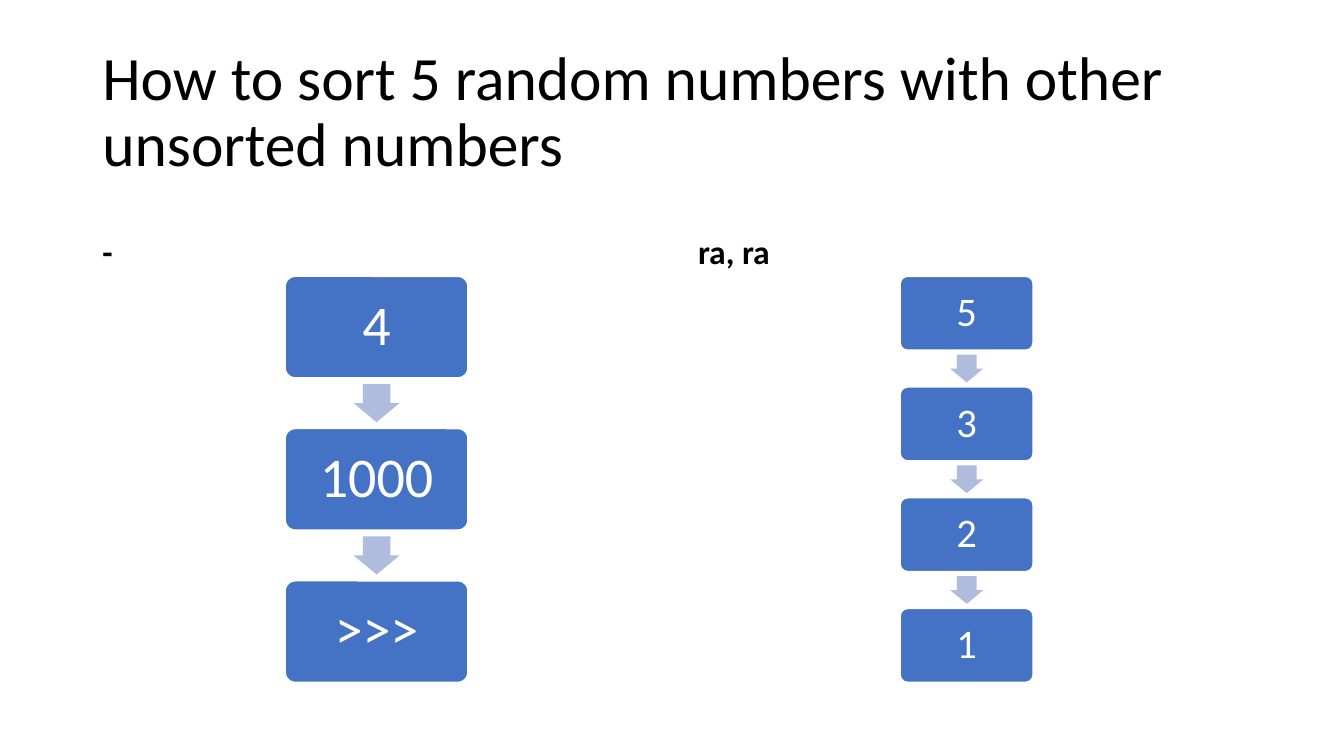
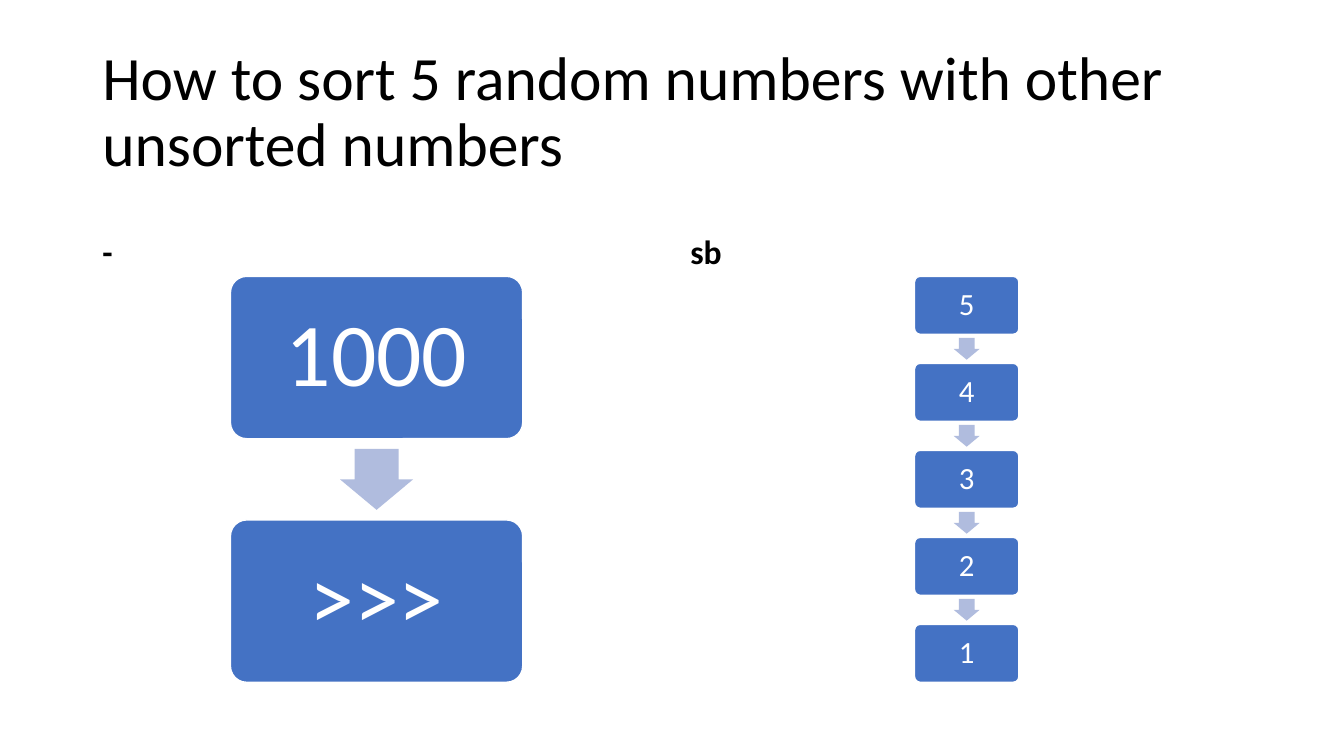
from pptx import Presentation
from pptx.dml.color import RGBColor
from pptx.enum.shapes import MSO_SHAPE
from pptx.enum.text import MSO_ANCHOR, PP_ALIGN
from pptx.util import Pt

COLORS = {"text": "000000", "box": "4472C4", "arrow": "B0BCDE", "white": "FFFFFF"}
FONT = "Calibri"
TITLE = "How to sort 5 random numbers with other unsorted numbers"
FLOW_TOP = 197.4
FLOW_HEIGHT = 290
LEFT_COLUMN = {"left": 66, "width": 406, "center": 269}
RIGHT_COLUMN = {"left": 486, "width": 408, "center": 690.5}

SLIDES = [
    [
        (LEFT_COLUMN, "-", 0, ["4", "1000", ">>>"], 40),
        (RIGHT_COLUMN, "ra, ra", 5.4, ["5", "3", "2", "1"], 29),
    ],
    [
        (LEFT_COLUMN, "-", 0, ["1000", ">>>"], 64),
        (RIGHT_COLUMN, "sb", 0, ["5", "4", "3", "2", "1"], 22),
    ],
]


def write_text(shape, text, size, color, anchor, align=PP_ALIGN.LEFT, bold=False):
    text_frame = shape.text_frame
    text_frame.word_wrap = True
    text_frame.vertical_anchor = anchor
    text_frame.text = text
    paragraph = text_frame.paragraphs[0]
    paragraph.alignment = align
    paragraph.line_spacing = 0.9
    font = paragraph.runs[0].font
    font.name = FONT
    font.size = Pt(size)
    font.bold = bold
    font.color.rgb = RGBColor.from_string(COLORS[color])


def add_filled_shape(slide, kind, center, middle, width, height, color):
    shape = slide.shapes.add_shape(
        kind, Pt(center - width / 2), Pt(middle - height / 2), Pt(width), Pt(height))
    shape.shadow.inherit = False
    shape.fill.solid()
    shape.fill.fore_color.rgb = RGBColor.from_string(COLORS[color])
    shape.line.fill.background()
    return shape


presentation = Presentation()
presentation.slide_width = Pt(960)
presentation.slide_height = Pt(540)

for columns in SLIDES:
    slide = presentation.slides.add_slide(presentation.slide_layouts[6])
    title = slide.shapes.add_textbox(Pt(66), Pt(28.75), Pt(828), Pt(104.4))
    write_text(title, TITLE, 44, "text", MSO_ANCHOR.MIDDLE)

    for column, heading_text, indent, steps, size in columns:
        heading = slide.shapes.add_textbox(
            Pt(column["left"]), Pt(132.5), Pt(column["width"]), Pt(64.9))
        write_text(heading, heading_text, 24, "text", MSO_ANCHOR.BOTTOM, bold=True)
        heading.text_frame.margin_left = Pt(7.2 + indent)

        box_height = FLOW_HEIGHT / (1.5 * len(steps) - 0.5)
        pitch = 1.5 * box_height
        for index, step in enumerate(steps):
            middle = FLOW_TOP + box_height / 2 + index * pitch
            box = add_filled_shape(slide, MSO_SHAPE.ROUNDED_RECTANGLE, column["center"],
                                   middle, 1.8 * box_height, box_height, "box")
            box.adjustments[0] = 0.1
            box.line.color.rgb = RGBColor.from_string(COLORS["white"])
            box.line.width = Pt(1)
            write_text(box, step, size, "white", MSO_ANCHOR.MIDDLE, PP_ALIGN.CENTER)

            if index < len(steps) - 1:
                arrow = add_filled_shape(slide, MSO_SHAPE.RIGHT_ARROW, column["center"],
                                         middle + pitch / 2, 0.375 * box_height,
                                         0.45 * box_height, "arrow")
                arrow.rotation = 90
                arrow.adjustments[0] = 0.6
                arrow.adjustments[1] = 0.5

presentation.save("out.pptx")
